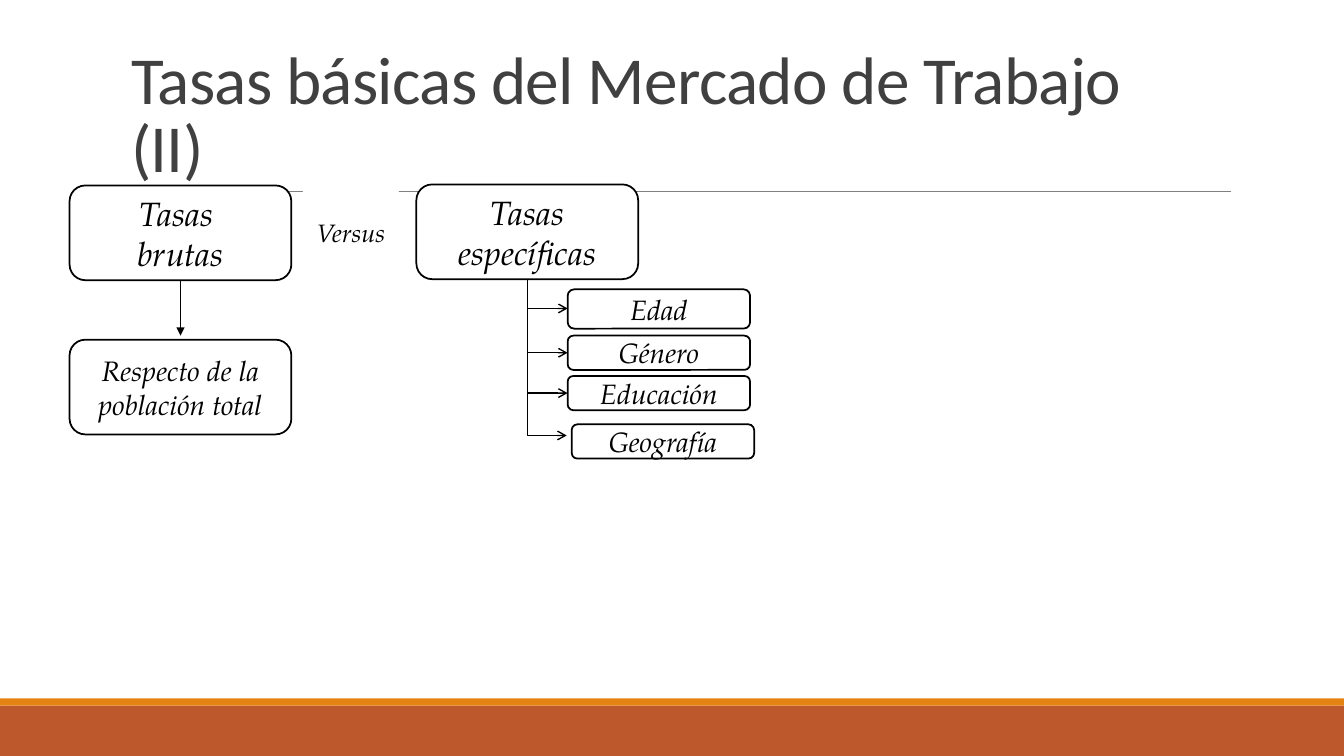
from lxml import etree
from pptx import Presentation
from pptx.dml.color import RGBColor
from pptx.enum import shapes, text
from pptx.oxml import ns
from pptx.util import Inches, Pt

WHITE = RGBColor(255, 255, 255)
BLACK = RGBColor(0, 0, 0)
GRAY = RGBColor(0x80, 0x80, 0x80)
DARK = RGBColor(0x40, 0x40, 0x40)
RUST = RGBColor(0xBD, 0x58, 0x2C)
ORANGE = RGBColor(0xE4, 0x83, 0x12)

TITLE = "Tasas básicas del Mercado de Trabajo\v(II)"
BANDS = [(7, 0.5, RUST), (6.93, 0.07, ORANGE)]
BOXES = [
    ("Tasas \nbrutas", 0.69, 1.84, 2.2, 0.94, 24, BLACK),
    ("Versus", 2.97, 1.84, 1.02, 0.94, 18, None),
    ("Tasas específicas", 4.13, 1.83, 2.2, 0.94, 24, BLACK),
    ("Respecto de la población total", 0.69, 3.37, 2.2, 0.94, 20, BLACK),
    ("Edad", 5.63, 2.87, 1.81, 0.39, 20, BLACK),
    ("Género", 5.63, 3.33, 1.81, 0.34, 20, BLACK),
    ("Educación", 5.63, 3.73, 1.81, 0.34, 20, BLACK),
    ("Geografía", 5.67, 4.21, 1.81, 0.34, 20, BLACK),
]
TRUNK_X = 5.23
BRANCHES = [(2.77, 5.63, 3.06), (2.77, 5.63, 3.5), (2.77, 5.63, 3.9), (3.9, 5.62, 4.32)]


def add_box(s, kind, x, y, w, h, fill, line=None):
    sp = s.shapes.add_shape(kind, Inches(x), Inches(y), Inches(w), Inches(h))
    sp.shadow.inherit = False
    sp.fill.solid()
    sp.fill.fore_color.rgb = fill
    if line is None:
        sp.line.fill.background()
    else:
        sp.line.color.rgb = line
        sp.line.width = Pt(1.25)
    return sp


def add_line(s, kind, x1, y1, x2, y2, color, width, arrow=None):
    c = s.shapes.add_connector(kind, Inches(x1), Inches(y1), Inches(x2), Inches(y2))
    c.line.color.rgb = color
    c.line.width = Pt(width)
    if arrow:
        etree.SubElement(c.line._get_or_add_ln(), ns.qn("a:tailEnd"), type=arrow)
    etree.SubElement(c._element.spPr, ns.qn("a:effectLst"))
    return c


def add_branch(s, y1, x2, y2):
    mid_x, mid_y = (TRUNK_X + x2) / 2, (y1 + y2) / 2
    half_run, half_drop = (x2 - TRUNK_X) / 2, (y2 - y1) / 2
    c = add_line(s, shapes.MSO_CONNECTOR.ELBOW, mid_x + half_drop, mid_y - half_run,
                 mid_x - half_drop, mid_y + half_run, BLACK, 1, "arrow")
    c._element.spPr.find(ns.qn("a:prstGeom")).set("prst", "bentConnector2")
    c._element.spPr.find(ns.qn("a:xfrm")).set("rot", str(270 * 60000))


def add_title(s):
    sp = s.shapes.title
    sp.left, sp.top, sp.width, sp.height = map(Inches, (1.2, 0.31, 11, 1.59))
    tf = sp.text_frame
    tf.text = TITLE
    tf.word_wrap = True
    tf.auto_size = text.MSO_AUTO_SIZE.NONE
    tf.vertical_anchor = text.MSO_ANCHOR.BOTTOM
    p = tf.paragraphs[0]
    p.alignment = text.PP_ALIGN.LEFT
    p.line_spacing = 0.85
    p.font.name, p.font.size = "Calibri", Pt(48)
    p.font.color.rgb = DARK
    for r in p.runs:
        r._r.get_or_add_rPr().set("spc", "-50")


def add_label(sp, label, size):
    tf = sp.text_frame
    tf.text = label
    tf.word_wrap = True
    tf.vertical_anchor = text.MSO_ANCHOR.MIDDLE
    for p in tf.paragraphs:
        p.alignment = text.PP_ALIGN.CENTER
        p.font.name, p.font.size = "TeX Gyre Pagella", Pt(size)
        p.font.italic = True
        p.font.color.rgb = BLACK


def main():
    prs = Presentation()
    prs.slide_width, prs.slide_height = Inches(13.33), Inches(7.5)
    s = prs.slides.add_slide(prs.slide_layouts[5])
    straight = shapes.MSO_CONNECTOR.STRAIGHT
    for y, h, color in BANDS:
        add_box(s, shapes.MSO_SHAPE.RECTANGLE, 0, y, 13.33, h, color)
    add_line(s, straight, 1.31, 1.9, 12.21, 1.9, GRAY, 0.5)
    add_title(s)
    for label, x, y, w, h, size, line in BOXES:
        sp = add_box(s, shapes.MSO_SHAPE.ROUNDED_RECTANGLE, x, y, w, h, WHITE, line)
        add_label(sp, label, size)
    for branch in BRANCHES:
        add_branch(s, *branch)
    add_line(s, straight, 1.79, 2.79, 1.79, 3.33, BLACK, 1, "triangle")
    prs.save("out.pptx")


if __name__ == "__main__":
    main()
